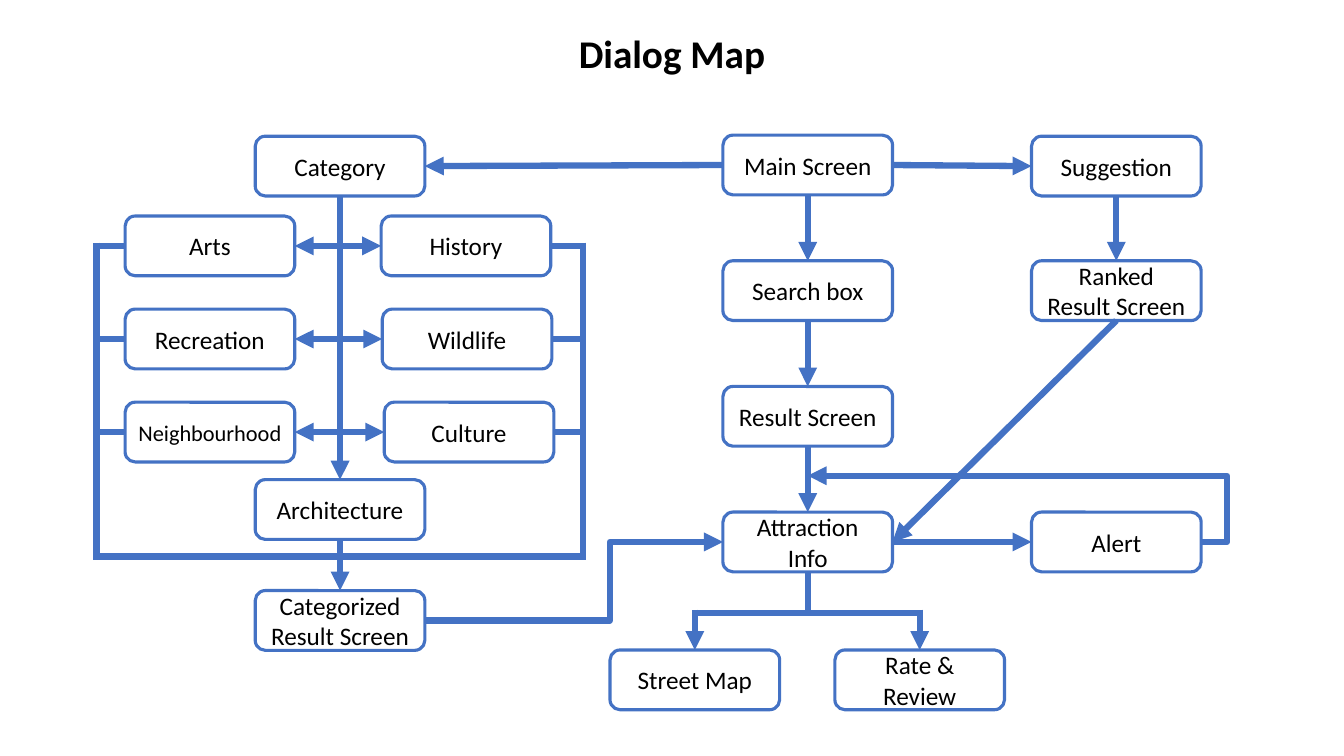
from dataclasses import dataclass
from enum import IntEnum
from typing import NamedTuple

from lxml.etree import SubElement
from pptx import Presentation
from pptx.dml.color import RGBColor
from pptx.enum.shapes import MSO_CONNECTOR as Connector, MSO_SHAPE as Preset
from pptx.enum.text import MSO_ANCHOR as Anchor, MSO_AUTO_SIZE as AutoSize, PP_ALIGN as Align
from pptx.oxml.ns import qn
from pptx.util import Inches, Pt


@dataclass(frozen=True)
class Theme:
    font: str = "Calibri"
    text: RGBColor = RGBColor(0x00, 0x00, 0x00)
    accent: RGBColor = RGBColor(0x44, 0x72, 0xC4)
    title_size: float = 28
    node_size: float = 18
    small_size: float = 16
    border: float = 2.25
    arrow: float = 4.5


class Point(NamedTuple):
    column: float
    row: float


class Side(IntEnum):
    TOP = 0
    LEFT = 1
    BOTTOM = 2
    RIGHT = 3


@dataclass(frozen=True)
class Node:
    text: str
    column: float
    row: float
    size: float = Theme.node_size

    def side(self, side: Side) -> Point:
        across = {Side.LEFT: -0.5, Side.RIGHT: 0.5}.get(side, 0)
        down = {Side.TOP: -0.5, Side.BOTTOM: 0.5}.get(side, 0)
        return Point(self.column + across * NODE_COLUMNS, self.row + down * NODE_ROWS)


@dataclass(frozen=True)
class Link:
    start: str
    start_side: Side
    end: str
    end_side: Side
    both_ways: bool = False


@dataclass(frozen=True)
class Route:
    start: Point
    end: Point
    arrow: bool = False
    bend: float | None = None


THEME = Theme()
GRID = 100
NODE_COLUMNS, NODE_ROWS = 12.62, 7.9
CATEGORY, MAIN, SUGGESTION = 25.3, 60.1, 83.06
MAP, REVIEW = 51.7, 68.43
TOPIC_LEFT, TOPIC_RIGHTS = 15.62, (34.67, 34.75, 34.9)
MAIN_ROWS = [21.83 + 16.62 * step for step in range(4)]
TOPIC_ROWS = [32.53 + 12.31 * step for step in range(3)]
SIDE_ROW, LAST_ROW = 21.97, 89.93
BUS_LEFT, BUS_RIGHT, BUS_ROW = 7.18, 43.36, 73.6
FORK_ROW, RETURN_ROW, RETURN_COLUMN = 81.07, 62.93, 91.3
CORNER = 0.42

presentation = Presentation()
presentation.slide_width, presentation.slide_height = Inches(13.33), Inches(7.5)
slide = presentation.slides.add_slide(presentation.slide_layouts[5])


def across(columns: float) -> int:
    return round(presentation.slide_width * columns / GRID)


def down(rows: float) -> int:
    return round(presentation.slide_height * rows / GRID)


def write(frame, text: str, size: float, bold: bool = False) -> None:
    frame.word_wrap = True
    frame.auto_size = AutoSize.NONE
    for index, line in enumerate(text.split("\n")):
        paragraph = frame.add_paragraph() if index else frame.paragraphs[0]
        paragraph.alignment = Align.CENTER
        run = paragraph.add_run()
        run.text = line
        run.font.name, run.font.size, run.font.bold = THEME.font, Pt(size), bold
        run.font.color.rgb = THEME.text


def draw_title(text: str) -> None:
    title = slide.shapes.title
    title.left, title.top = across(36.68), down(3.2)
    title.width, title.height = across(26.63), down(7.87)
    title.text_frame.vertical_anchor = Anchor.TOP
    write(title.text_frame, text, THEME.title_size, True)


def draw_node(node: Node):
    left, top = node.side(Side.LEFT).column, node.side(Side.TOP).row
    shape = slide.shapes.add_shape(
        Preset.ROUNDED_RECTANGLE, across(left), down(top), across(NODE_COLUMNS), down(NODE_ROWS))
    shape.shadow.inherit = False
    shape.fill.background()
    shape.line.color.rgb, shape.line.width = THEME.accent, Pt(THEME.border)
    shape.text_frame.vertical_anchor = Anchor.MIDDLE
    write(shape.text_frame, node.text, node.size)
    return shape


def draw_line(start: Point, end: Point, kind=Connector.STRAIGHT, heads: tuple[str, ...] = ()):
    line = slide.shapes.add_connector(
        kind, across(start.column), down(start.row), across(end.column), down(end.row))
    line.line.color.rgb, line.line.width = THEME.accent, Pt(THEME.arrow)
    properties = line._element.spPr
    for head in heads:
        SubElement(properties.find(qn("a:ln")), qn(f"a:{head}")).set("type", "triangle")
    SubElement(properties, qn("a:effectLst"))
    return line


def draw_link(link: Link) -> None:
    start, end = NODES[link.start], NODES[link.end]
    heads = ("headEnd", "tailEnd") if link.both_ways else ("tailEnd",)
    line = draw_line(start.side(link.start_side), end.side(link.end_side), heads=heads)
    line.begin_connect(shapes[link.start], link.start_side)
    line.end_connect(shapes[link.end], link.end_side)


def draw_route(route: Route) -> None:
    kind = Connector.STRAIGHT if route.bend is None else Connector.ELBOW
    line = draw_line(route.start, route.end, kind, ("tailEnd",) if route.arrow else ())
    if route.bend is not None:
        share = (route.bend - route.start.column) / (route.end.column - route.start.column)
        guide = SubElement(line._element.spPr.prstGeom.get_or_add_avLst(), qn("a:gd"))
        guide.set("name", "adj1")
        guide.set("fmla", f"val {round(share * 100000)}")


TOPICS = [("Arts", "History"), ("Recreation", "Wildlife"), ("Neighbourhood", "Culture")]
NODES = {
    "category": Node("Category", CATEGORY, SIDE_ROW),
    "architecture": Node("Architecture", CATEGORY, 67.4),
    "categorized": Node("Categorized\nResult Screen", CATEGORY, 82.07),
    "main": Node("Main Screen", MAIN, MAIN_ROWS[0]),
    "search": Node("Search box", MAIN, MAIN_ROWS[1]),
    "result": Node("Result Screen", MAIN, MAIN_ROWS[2]),
    "attraction": Node("Attraction Info", MAIN, MAIN_ROWS[3]),
    "suggestion": Node("Suggestion", SUGGESTION, SIDE_ROW),
    "ranked": Node("Ranked\nResult Screen", SUGGESTION, MAIN_ROWS[1]),
    "alert": Node("Alert", SUGGESTION, MAIN_ROWS[3]),
    "map": Node("Street Map", MAP, LAST_ROW),
    "review": Node("Rate & Review", REVIEW, LAST_ROW),
}
for (left_topic, right_topic), right_column, topic_row in zip(TOPICS, TOPIC_RIGHTS, TOPIC_ROWS):
    left_size = THEME.small_size if left_topic == "Neighbourhood" else THEME.node_size
    NODES[left_topic] = Node(left_topic, TOPIC_LEFT, topic_row, left_size)
    NODES[right_topic] = Node(right_topic, right_column, topic_row)

LINKS = [
    Link("category", Side.BOTTOM, "architecture", Side.TOP),
    Link("architecture", Side.BOTTOM, "categorized", Side.TOP),
    Link("main", Side.LEFT, "category", Side.RIGHT),
    Link("main", Side.RIGHT, "suggestion", Side.LEFT),
    Link("main", Side.BOTTOM, "search", Side.TOP),
    Link("search", Side.BOTTOM, "result", Side.TOP),
    Link("result", Side.BOTTOM, "attraction", Side.TOP),
    Link("suggestion", Side.BOTTOM, "ranked", Side.TOP),
    Link("ranked", Side.BOTTOM, "attraction", Side.RIGHT),
    Link("attraction", Side.RIGHT, "alert", Side.LEFT),
    *(Link(left, Side.RIGHT, right, Side.LEFT, True) for left, right in TOPICS),
]
ROUTES = [
    *(Route(Point(column, TOPIC_ROWS[0] - CORNER), Point(column, BUS_ROW + CORNER))
      for column in (BUS_LEFT, BUS_RIGHT)),
    Route(Point(BUS_RIGHT, BUS_ROW), Point(BUS_LEFT, BUS_ROW)),
    *(Route(NODES[left].side(Side.LEFT), Point(BUS_LEFT, NODES[left].row)) for left, _ in TOPICS),
    *(Route(NODES[right].side(Side.RIGHT), Point(BUS_RIGHT, NODES[right].row)) for _, right in TOPICS),
    Route(NODES["categorized"].side(Side.RIGHT), NODES["attraction"].side(Side.LEFT), True, 45.39),
    Route(NODES["alert"].side(Side.RIGHT), Point(MAIN, RETURN_ROW), True, RETURN_COLUMN),
    Route(NODES["attraction"].side(Side.BOTTOM), Point(MAIN, FORK_ROW)),
    Route(Point(REVIEW, FORK_ROW), Point(MAP, FORK_ROW)),
    *(Route(Point(NODES[name].column, FORK_ROW - CORNER), NODES[name].side(Side.TOP), True)
      for name in ("map", "review")),
]

draw_title("Dialog Map")
shapes = {name: draw_node(node) for name, node in NODES.items()}
for link in LINKS:
    draw_link(link)
for route in ROUTES:
    draw_route(route)
presentation.save("out.pptx")
